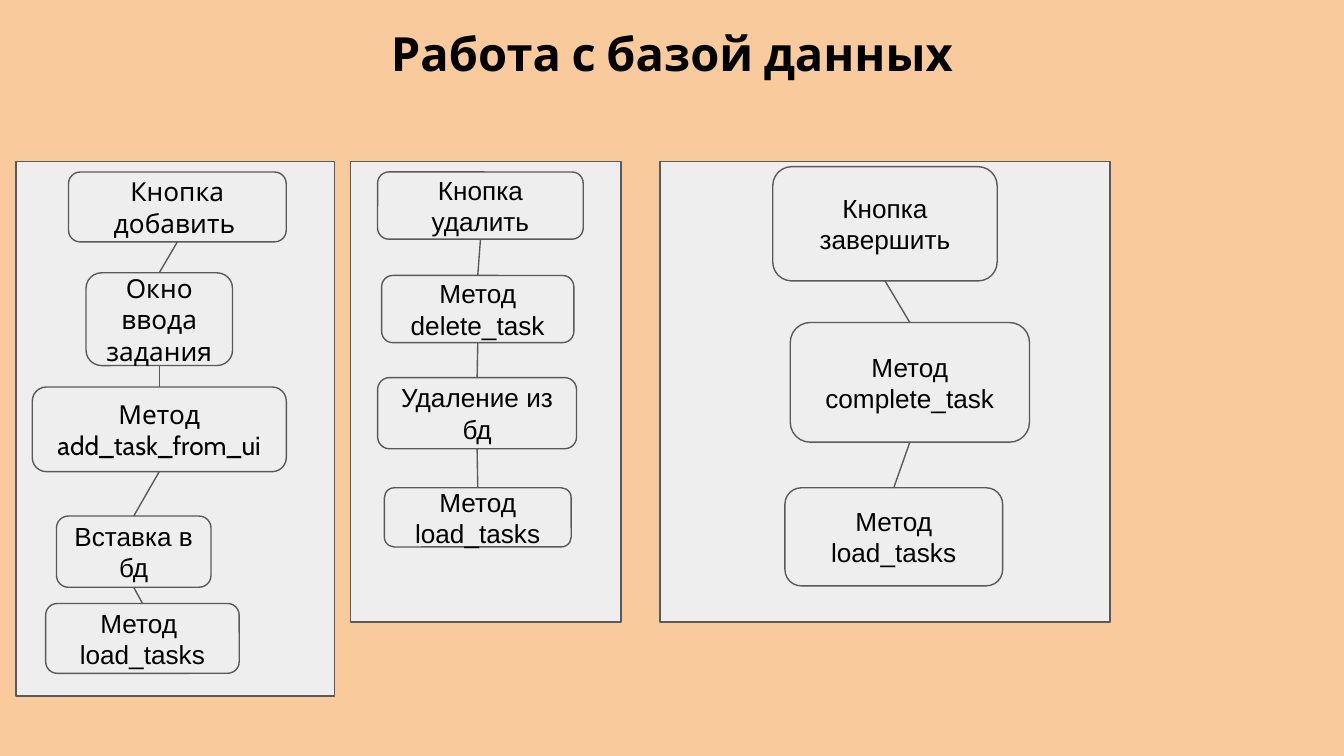
"""Build a slide with three flowcharts of the database operations."""
import pptx
import pptx.dml.color
import pptx.enum.shapes
import pptx.enum.text
import pptx.oxml
import pptx.oxml.ns
import pptx.util

PEACH = pptx.dml.color.RGBColor(0xF9, 0xCB, 0x9C)
PALE = pptx.dml.color.RGBColor(0xEE, 0xEE, 0xEE)
GREY = pptx.dml.color.RGBColor(0x59, 0x59, 0x59)
BLACK = pptx.dml.color.RGBColor(0, 0, 0)

deck = pptx.Presentation()
deck.slide_width = pptx.util.Inches(10)
deck.slide_height = deck.slide_width * 9 // 16
CELL = deck.slide_width / 100
MARGIN = round(CELL)
KIND = pptx.enum.shapes.MSO_SHAPE


def write(frame, text, font, size, bold=False):
    """Fill a text frame with centred black text."""
    frame.text = text
    frame.word_wrap = True
    frame.margin_left = frame.margin_right = MARGIN
    frame.margin_top = frame.margin_bottom = MARGIN
    for paragraph in frame.paragraphs:
        paragraph.alignment = pptx.enum.text.PP_ALIGN.CENTER
        for run in paragraph.runs:
            run.font.name = font
            run.font.size = pptx.util.Pt(size)
            run.font.bold = bold
            run.font.color.rgb = BLACK


def add_panel(kind, cells):
    """Add a pale outlined shape placed in grid cells."""
    panel = slide.shapes.add_shape(kind, *(round(n * CELL) for n in cells))
    panel.shadow.inherit = False
    panel.fill.solid()
    panel.fill.fore_color.rgb = PALE
    panel.line.color.rgb = GREY
    panel.line.width = pptx.util.Pt(0.75)
    return panel


slide = deck.slides.add_slide(deck.slide_layouts[5])
slide.background.fill.solid()
slide.background.fill.fore_color.rgb = PEACH

heading = slide.shapes.title
heading.left, heading.top, heading.width, heading.height = (
    round(n * CELL) for n in (3.4, 0.8, 93.2, 6.3))
write(heading.text_frame, "Работа с базой данных", "Cabin", 25.2, True)
heading.text_frame.vertical_anchor = pptx.enum.text.MSO_ANCHOR.TOP

FLOWS = [
    ((1.2, 12, 23.7, 39.8), [
        ("Кнопка добавить ", "Cabin", (5.1, 12.8, 16.2, 5.2)),
        ("Окно ввода задания", "Cabin", (6.4, 20.3, 10.9, 6.9)),
        ("Метод\nadd_task_from_ui", "Cabin", (2.4, 28.8, 18.9, 6.3)),
        ("Вставка в бд", "Arial", (4.2, 38.4, 11.5, 5.3)),
        ("Метод \nload_tasks", "Arial", (3.4, 44.9, 14.4, 5.2)),
    ]),
    ((26.1, 12, 20.1, 34.3), [
        ("Кнопка удалить", "Arial", (28.1, 12.8, 15.3, 5)),
        ("Метод delete_task", "Arial", (28.4, 20.5, 14.3, 5)),
        ("Удаление из бд", "Arial", (28.1, 28.1, 14.8, 5.3)),
        ("Метод load_tasks", "Arial", (28.6, 36.3, 13.9, 4.4)),
    ]),
    ((49.1, 12, 33.5, 34.3), [
        ("Кнопка завершить", "Arial", (57.5, 12.4, 16.7, 8.5)),
        ("Метод complete_task", "Arial", (58.8, 24, 17.8, 8.9)),
        ("Метод load_tasks", "Arial", (58.4, 36.3, 16.2, 7.3)),
    ]),
]

for area, steps in FLOWS:
    add_panel(KIND.RECTANGLE, area)
    previous = None
    for label, font, cells in steps:
        step = add_panel(KIND.ROUNDED_RECTANGLE, cells)
        write(step.text_frame, label, font, 14)
        step.text_frame.vertical_anchor = pptx.enum.text.MSO_ANCHOR.MIDDLE
        if previous is not None:
            link = slide.shapes.add_connector(
                pptx.enum.shapes.MSO_CONNECTOR.STRAIGHT, 0, 0, 0, 0)
            link.begin_connect(previous, 2)
            link.end_connect(step, 0)
            link.line.color.rgb = GREY
            link.line.width = pptx.util.Pt(0.75)
            link.element.spPr.append(pptx.oxml.parse_xml(
                "<a:effectLst %s/>" % pptx.oxml.ns.nsdecls("a")))
        previous = step

deck.save("out.pptx")
